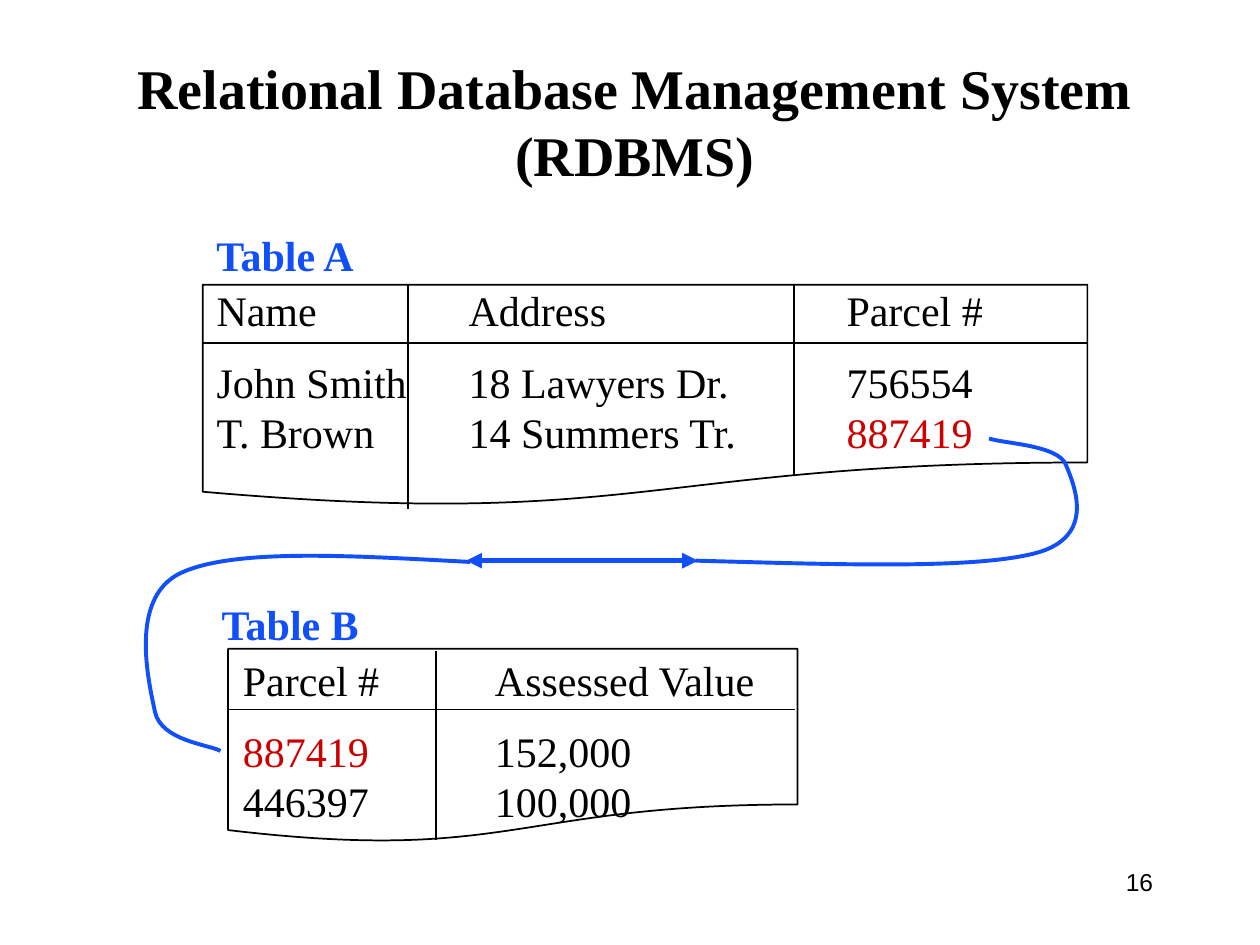
from lxml import etree
from pptx import Presentation
from pptx.dml.color import RGBColor
from pptx.enum.shapes import MSO_CONNECTOR as CONN, MSO_SHAPE as SHAPE
from pptx.enum.text import MSO_ANCHOR as ANCHOR, PP_ALIGN as ALIGN
from pptx.oxml.ns import qn
from pptx.util import Inches, Pt

BLACK = RGBColor(0x00, 0x00, 0x00)
BLUE = RGBColor(0x11, 0x4F, 0xFB)
RED = RGBColor(0xCC, 0x00, 0x00)
SERIF = "Times New Roman"


def add_run(p, text, size=24, color=BLACK, bold=False, font=SERIF):
    r = p.add_run()
    r.text = text
    r.font.size = Pt(size)
    r.font.name = font
    r.font.bold = bold
    r.font.color.rgb = color


def add_text_box(slide, box, anchor=ANCHOR.MIDDLE):
    tf = slide.shapes.add_textbox(*map(Inches, box)).text_frame
    tf.word_wrap = True
    tf.vertical_anchor = anchor
    return tf


def add_line(slide, start, end, color=BLACK, width=1, arrows=False):
    line = slide.shapes.add_connector(CONN.STRAIGHT, *map(Inches, (*start, *end)))
    line.line.color.rgb = color
    line.line.width = Pt(width)
    sp_pr = line._element.spPr
    if arrows:
        ln = line.line._get_or_add_ln()
        for end_tag in ("a:headEnd", "a:tailEnd"):
            etree.SubElement(ln, qn(end_tag), type="triangle")
    etree.SubElement(sp_pr, qn("a:effectLst"))


def add_curve(slide, points):
    """Draw cubic Béziers: a start point, then three points per segment."""
    pts = [(Inches(x), Inches(y)) for x, y in points]
    builder = slide.shapes.build_freeform(*pts[0])
    builder.add_line_segments(pts[1:], close=False)
    sp = builder.convert_to_shape()
    sp.shadow.inherit = False
    sp.fill.background()
    sp.line.color.rgb = BLUE
    sp.line.width = Pt(2.25)
    lines = list(sp._element.iter(qn("a:lnTo")))
    for i in range(0, len(lines), 3):
        curve = etree.Element(qn("a:cubicBezTo"))
        lines[i].addprevious(curve)
        for ln_to in lines[i:i + 3]:
            curve.append(ln_to[0])
            ln_to.getparent().remove(ln_to)


def set_tabs(p, stops):
    tab_list = etree.SubElement(p._p.get_or_add_pPr(), qn("a:tabLst"))
    for stop in stops:
        etree.SubElement(tab_list, qn("a:tab"), pos=str(Inches(stop)), algn="l")


def add_title(slide, box, text):
    p = add_text_box(slide, box).paragraphs[0]
    p.alignment = ALIGN.CENTER
    add_run(p, text, 32, bold=True)


def add_torn_table(slide, box, label, label_box, text_box, rows, tabs,
                   header_rule, column_rules):
    """Rules are offsets in the box: (y, length) and a list of (x, top, bottom)."""
    left, top, _, _ = box
    page = slide.shapes.add_shape(SHAPE.FLOWCHART_DOCUMENT, *map(Inches, box))
    page.shadow.inherit = False
    page.fill.background()
    page.line.color.rgb = BLACK
    page.line.width = Pt(1)

    tf = add_text_box(slide, text_box)
    for i, row in enumerate(rows):
        p = tf.paragraphs[0] if i == 0 else tf.add_paragraph()
        set_tabs(p, tabs)
        if i == 1:
            p.space_before = Pt(12)
        for text, color in row:
            add_run(p, text, color=color)

    rule_y, rule_length = header_rule
    add_line(slide, (left, top + rule_y), (left + rule_length, top + rule_y))
    for x, start, end in column_rules:
        add_line(slide, (left + x, top + start), (left + x, top + end))
    add_run(add_text_box(slide, label_box).paragraphs[0], label, color=BLUE, bold=True)


def add_key_link(slide):
    """Join the shared parcel number of both tables."""
    add_line(slide, (3.7, 4.45), (5.54, 4.45), BLUE, 3, arrows=True)
    add_curve(slide, [(5.52, 4.45), (6.63, 4.48), (7.73, 4.52), (8.22, 4.39),
                      (8.71, 4.26), (8.52, 3.84), (8.46, 3.69),
                      (8.4, 3.53), (7.95, 3.52), (7.85, 3.48)])
    add_curve(slide, [(3.73, 4.46), (2.79, 4.41), (1.85, 4.35), (1.43, 4.55),
                      (1.02, 4.75), (1.18, 5.41), (1.23, 5.65),
                      (1.28, 5.88), (1.66, 5.91), (1.75, 5.96)])


def add_page_number(slide, box, number):
    p = add_text_box(slide, box, ANCHOR.TOP).paragraphs[0]
    p.alignment = ALIGN.RIGHT
    add_run(p, number, 14, font="Arial")


def main():
    prs = Presentation()
    prs.slide_width, prs.slide_height = Inches(10), Inches(7.5)
    slide = prs.slides.add_slide(prs.slide_layouts[6])

    add_title(slide, (0.58, 0.33, 8.92, 1.25),
              "Relational Database Management System (RDBMS)")
    add_torn_table(
        slide, (1.61, 2.26, 7.02, 1.76), "Table A",
        label_box=(1.62, 1.77, 1.34, 0.5), text_box=(1.62, 2.21, 6.28, 1.47),
        rows=[[("Name\tAddress\tParcel #", BLACK)],
              [("John Smith\t18 Lawyers Dr.\t756554", BLACK)],
              [("T. Brown\t14 Summers Tr.\t", BLACK), ("887419", RED)]],
        tabs=(2, 5), header_rule=(0.46, 7.02),
        column_rules=[(1.63, 0, 1.78), (4.69, 0, 1.52)])
    add_torn_table(
        slide, (1.81, 5.15, 4.52, 1.54), "Table B",
        label_box=(1.66, 4.7, 1.32, 0.5), text_box=(1.83, 5.14, 4.3, 1.47),
        rows=[[("Parcel #\tAssessed Value", BLACK)],
              [("887419\t", RED), ("152,000", BLACK)],
              [("446397\t100,000", BLACK)]],
        tabs=(2,), header_rule=(0.48, 4.5),
        column_rules=[(1.65, 0.02, 1.52)])
    add_key_link(slide)
    add_page_number(slide, (7.17, 6.83, 2.08, 0.5), "16")

    prs.save("out.pptx")


if __name__ == "__main__":
    main()
